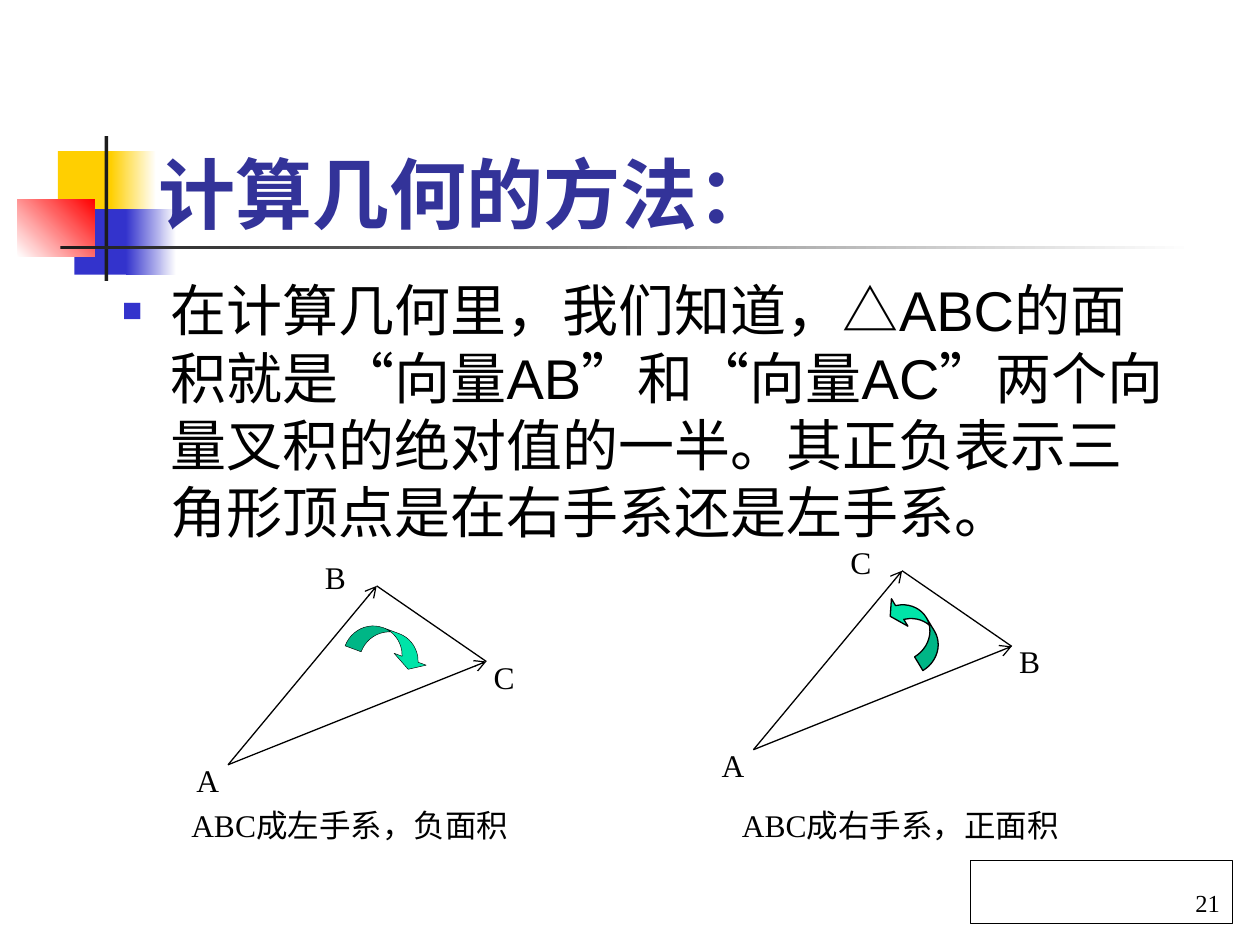
from dataclasses import dataclass

import pptx
import pptx.dml.color
import pptx.enum.shapes
import pptx.enum.text
import pptx.oxml.ns
import pptx.util
from lxml import etree
from pptx.util import Inches

SHAPE = pptx.enum.shapes.MSO_SHAPE
ANCHOR = pptx.enum.text.MSO_ANCHOR
ALIGN = pptx.enum.text.PP_ALIGN


@dataclass(frozen=True)
class Theme:
    heading_font: str = "Arial"
    label_font: str = "Times New Roman"
    title_size: int = 44
    body_size: int = 32
    label_size: int = 18
    number_size: int = 14
    title: str = "333399"
    ink: str = "000000"
    paper: str = "FFFFFF"
    yellow: str = "FFCF01"
    blue: str = "3333CC"
    red: str = "FF0000"
    rule: str = "1C1C1C"
    turn: str = "00E4A8"


THEME = Theme()


def rgb(color):
    return pptx.dml.color.RGBColor.from_string(color)


def add_xml(parent, tag, **attributes):
    return etree.SubElement(parent, pptx.oxml.ns.qn(tag), attributes)


def write(shape, text, size, font, color=THEME.ink, bold=False,
          align=ALIGN.LEFT, anchor=ANCHOR.TOP):
    frame = shape.text_frame
    frame.text = text
    frame.word_wrap = True
    frame.vertical_anchor = anchor
    para = frame.paragraphs[0]
    para.alignment = align
    para.space_before = pptx.util.Pt(0)
    span = para.runs[0].font
    span.size = pptx.util.Pt(size)
    span.name = font
    span.bold = bold
    span.color.rgb = rgb(color)
    return para


def place(shape, left, top, width, height):
    shape.left, shape.top = Inches(left), Inches(top)
    shape.width, shape.height = Inches(width), Inches(height)


def add_block(shapes, kind, box, fill, line_width=0):
    shape = shapes.add_shape(kind, *map(Inches, box))
    shape.shadow.inherit = False
    shape.fill.solid()
    shape.fill.fore_color.rgb = rgb(fill)
    if line_width:
        shape.line.color.rgb = rgb(THEME.ink)
        shape.line.width = pptx.util.Pt(line_width)
    else:
        shape.line.fill.background()
    return shape


def add_fade(shapes, box, start, end, angle=0):
    """Add a rectangle with a gradient; the angle runs counter-clockwise."""
    shape = add_block(shapes, SHAPE.RECTANGLE, box, start)
    shape.fill.gradient()
    shape.fill.gradient_angle = angle
    for stop, color in zip(shape.fill.gradient_stops, (start, end)):
        stop.color.rgb = rgb(color)


def add_label(shapes, text, left, top, width):
    box = shapes.add_textbox(Inches(left), Inches(top), Inches(width), Inches(0.4))
    write(box, text, THEME.label_size, THEME.label_font)


def add_line(shapes, start, end, arrow=False):
    line = shapes.add_connector(pptx.enum.shapes.MSO_CONNECTOR.STRAIGHT,
                                *map(Inches, (*start, *end)))
    line.line.color.rgb = rgb(THEME.ink)
    line.line.width = pptx.util.Pt(0.75)
    if arrow:
        add_xml(line.line._get_or_add_ln(), "a:tailEnd", type="arrow")
    add_xml(line._element.spPr, "a:effectLst")


def add_triangle(shapes, x, y, upper, right):
    """Draw the vectors from A at (x, y) to the upper and the right vertex."""
    group = shapes.add_group_shape().shapes
    origin, top, side = (x, y), (x + 1.18, y - 1.42), (x + 2.05, y - 0.82)
    add_line(group, origin, top, arrow=True)
    add_line(group, origin, side, arrow=True)
    add_line(group, top, side)
    for name, dx, dy in ((upper, 0.67, -1.69), (right, 2.01, -0.9), ("A", -0.35, -0.08)):
        add_label(group, name, x + dx, y + dy, 0.63)
    return group


def add_turn(shapes, kind, box, rotation, adjustments, line_width):
    arrow = add_block(shapes, kind, box, THEME.turn, line_width)
    arrow.rotation = rotation
    for index, value in enumerate(adjustments):
        arrow.adjustments[index] = value


def add_ornament(shapes):
    add_block(shapes, SHAPE.RECTANGLE, (0.46, 1.2, 0.48, 0.52), THEME.yellow)
    add_fade(shapes, (0.88, 1.2, 0.36, 0.52), THEME.yellow, THEME.paper)
    add_block(shapes, SHAPE.RECTANGLE, (0.59, 1.66, 0.46, 0.52), THEME.blue)
    add_fade(shapes, (1, 1.66, 0.4, 0.52), THEME.blue, THEME.paper)
    add_fade(shapes, (0.14, 1.58, 0.61, 0.46), THEME.paper, THEME.red, angle=45)
    add_block(shapes, SHAPE.RECTANGLE, (0.83, 1.08, 0.03, 1.15), THEME.rule)
    add_fade(shapes, (0.48, 1.95, 9, 0.03), THEME.rule, THEME.paper)


def fill_title(title):
    place(title, 1.16, 0.99, 5.61, 0.96)
    write(title, "计算几何的方法：", THEME.title_size, THEME.heading_font,
          THEME.title, bold=True, anchor=ANCHOR.BOTTOM)


def fill_body(body):
    place(body, 0.87, 2.14, 8.5, 2.44)
    para = write(body, "在计算几何里，我们知道，△ABC的面积就是“向量AB”和“向量AC”"
                 "两个向量叉积的绝对值的一半。其正负表示三角形顶点是在右手系还是左手系。",
                 THEME.body_size, THEME.heading_font)
    body.text_frame.auto_size = pptx.enum.text.MSO_AUTO_SIZE.NONE
    settings = para._p.get_or_add_pPr()
    settings.set("marL", str(Inches(0.38)))
    settings.set("indent", str(Inches(-0.38)))
    add_xml(add_xml(settings, "a:buClr"), "a:srgbClr", val=THEME.blue)
    add_xml(settings, "a:buSzPct", val="60000")
    add_xml(settings, "a:buFont", typeface=THEME.heading_font)
    add_xml(settings, "a:buChar", char="■")


def main():
    deck = pptx.Presentation()
    deck.slide_width, deck.slide_height = Inches(10), Inches(7.5)
    page = deck.slides.add_slide(deck.slide_layouts[1])
    shapes = page.shapes
    add_ornament(shapes)
    # Keep the text in front of the ornament.
    for holder in list(page.placeholders):
        shapes._spTree.append(holder._element)
    fill_title(shapes.title)
    fill_body(page.placeholders[1])

    add_label(shapes, "ABC成左手系，负面积", 1.42, 6.35, 3.07)
    add_label(shapes, "ABC成右手系，正面积", 5.79, 6.35, 3.07)
    left_handed = add_triangle(shapes, 1.81, 6.07, "B", "C")
    add_turn(left_handed, SHAPE.CURVED_DOWN_ARROW, (2.76, 5.01, 0.67, 0.24),
             20.4, (0.566, 1.132, 0.333), 0.25)
    right_handed = add_triangle(shapes, 5.98, 5.95, "C", "B")
    add_turn(right_handed, SHAPE.CURVED_UP_ARROW, (6.95, 4.87, 0.63, 0.24),
             239, (0.53, 1.06, 0.333), 0.75)

    number = add_block(shapes, SHAPE.RECTANGLE, (7.7, 6.83, 2.08, 0.5), THEME.paper, 0.75)
    write(number, "21", THEME.number_size, THEME.label_font,
          align=ALIGN.RIGHT, anchor=ANCHOR.BOTTOM)
    deck.save("out.pptx")


if __name__ == "__main__":
    main()
